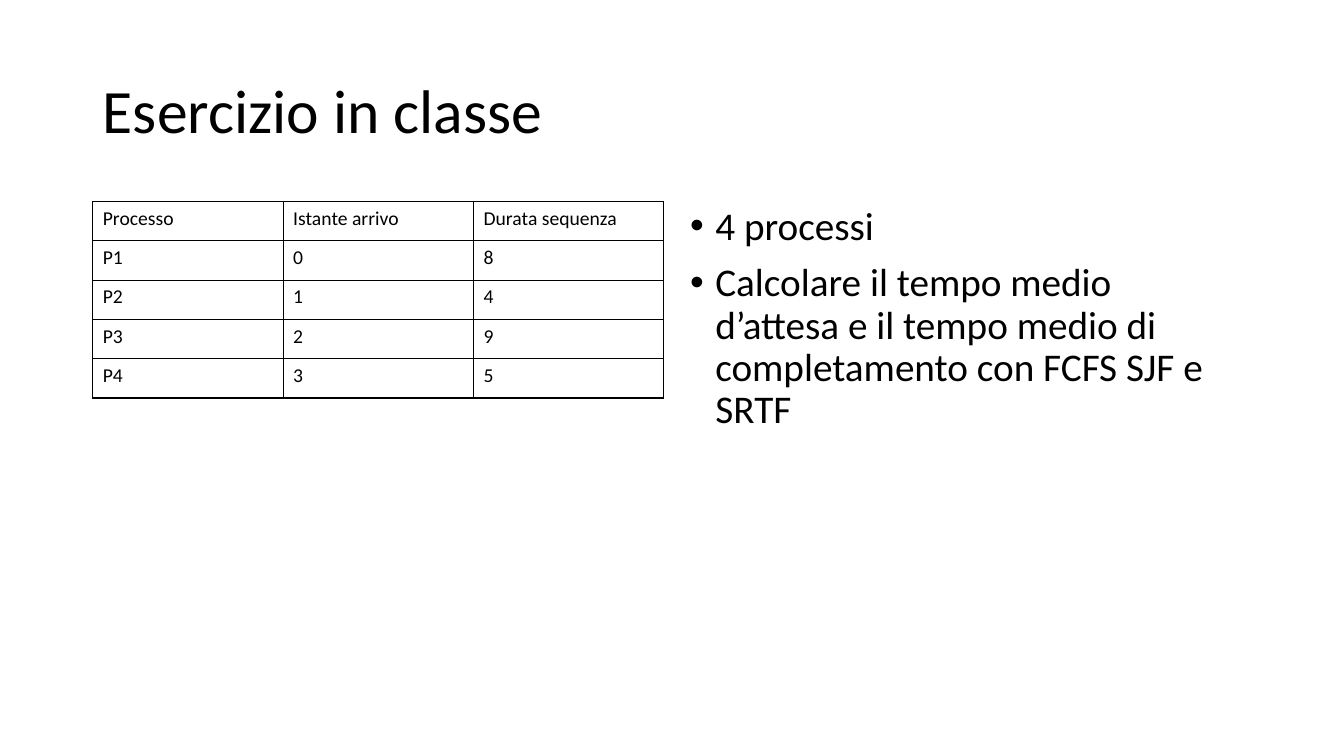
from lxml import etree
from pptx import Presentation
from pptx.dml.color import RGBColor
from pptx.enum.text import MSO_ANCHOR, PP_ALIGN
from pptx.oxml.ns import qn
from pptx.util import Inches, Pt

LEFT, MIDDLE = PP_ALIGN.LEFT, MSO_ANCHOR.MIDDLE
FONT, BLACK = "Calibri", "000000"

TITLE = "Esercizio in classe"
PROCESSES = [
    ("Processo", "Istante arrivo", "Durata sequenza"),
    ("P1", "0", "8"),
    ("P2", "1", "4"),
    ("P3", "2", "9"),
    ("P4", "3", "5"),
]
TASKS = [
    "4 processi",
    "Calcolare il tempo medio d’attesa e il tempo medio di completamento con FCFS SJF e SRTF",
]

SLIDE_W, SLIDE_H = 13.33, 7.5
MARGIN, GAP = 0.92, 0.16
CONTENT_W = SLIDE_W - 2 * MARGIN
HALF_W = (CONTENT_W - GAP) / 2
TITLE_TOP, TITLE_H = 0.4, 1.45
BODY_TOP, BODY_H = 2, 4.76
ROW_H = 0.39


def color(hex_string):
    return RGBColor.from_string(hex_string)


def add_text(p, text, size):
    p.alignment = LEFT
    r = p.add_run()
    r.text = text
    r.font.name, r.font.size = FONT, Pt(size)
    r.font.bold = False
    r.font.color.rgb = color(BLACK)


def place(shape, x, y, w, h):
    shape.left, shape.top = Inches(x), Inches(y)
    shape.width, shape.height = Inches(w), Inches(h)


def add_borders(cell, hex_string, width):
    props = cell._tc.get_or_add_tcPr()
    for position, side in enumerate(("a:lnL", "a:lnR", "a:lnT", "a:lnB")):
        line = etree.Element(qn(side), w=str(Pt(width)))
        fill = etree.SubElement(line, qn("a:solidFill"))
        etree.SubElement(fill, qn("a:srgbClr"), val=hex_string)
        props.insert(position, line)


prs = Presentation()
prs.slide_width, prs.slide_height = Inches(SLIDE_W), Inches(SLIDE_H)
s = prs.slides.add_slide(prs.slide_layouts[1])
title, body = s.shapes.title, s.placeholders[1]

place(title, MARGIN, TITLE_TOP, CONTENT_W, TITLE_H)
title.text_frame.vertical_anchor = MIDDLE
p = title.text_frame.paragraphs[0]
p.line_spacing = 0.9
add_text(p, TITLE, 44)

rows, cols = len(PROCESSES), len(PROCESSES[0])
frame = s.shapes.add_table(rows, cols, Inches(MARGIN), Inches(BODY_TOP),
                           Inches(HALF_W), Inches(rows * ROW_H))
table = frame.table
table.first_row = table.horz_banding = False
for row, values in zip(table.rows, PROCESSES):
    row.height = Inches(ROW_H)
    for cell, value in zip(row.cells, values):
        cell.fill.background()
        add_borders(cell, BLACK, 1)
        add_text(cell.text_frame.paragraphs[0], value, 14)

place(body, MARGIN + HALF_W + GAP, BODY_TOP, HALF_W, BODY_H)
tf = body.text_frame
for i, task in enumerate(TASKS):
    p = tf.add_paragraph() if i else tf.paragraphs[0]
    p.line_spacing, p.space_before = 0.9, Pt(10)
    props = p._p.get_or_add_pPr()
    props.set("marL", str(Inches(0.25)))
    props.set("indent", str(Inches(-0.25)))
    add_text(p, task, 28)

prs.save("out.pptx")
